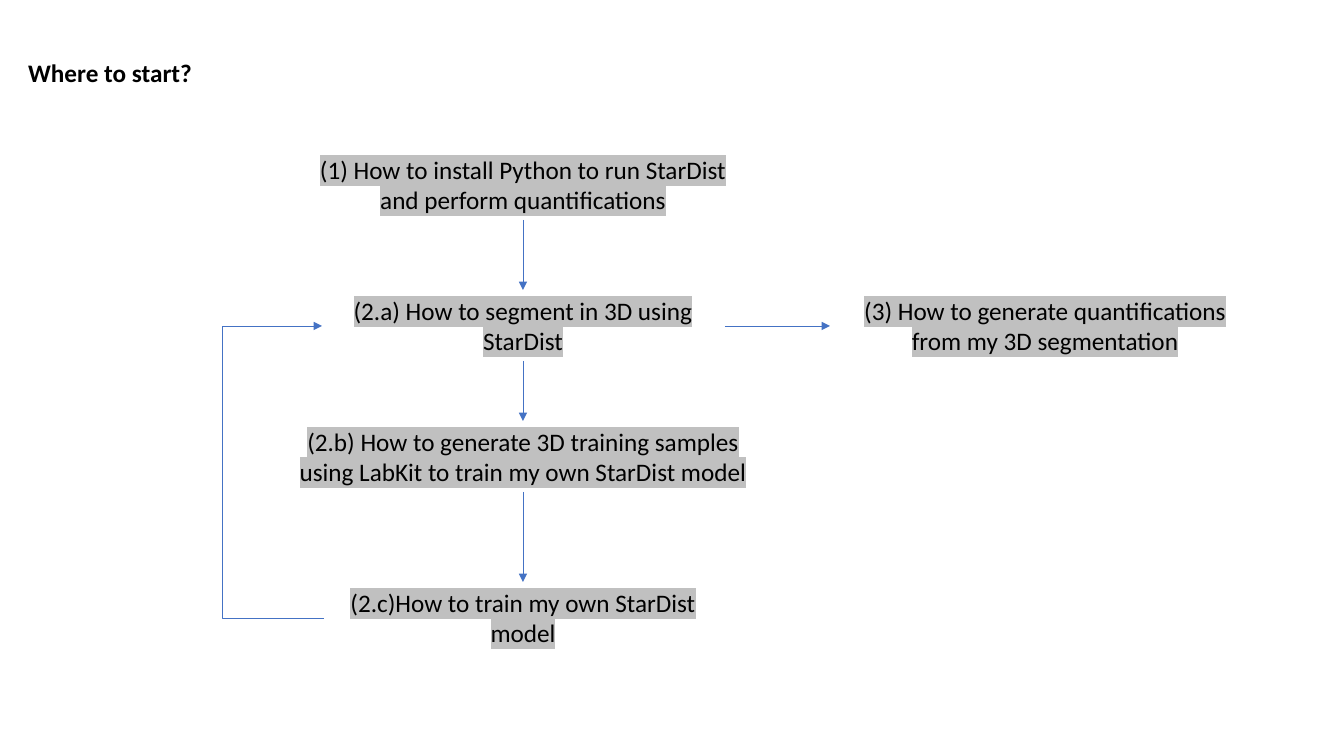
from dataclasses import dataclass

from pptx import Presentation, util as u
from pptx.dml.color import RGBColor
from pptx.enum import shapes, text
from pptx.oxml import ns
from lxml import etree


@dataclass(frozen=True)
class Theme:
    """Colours and type sizes of the slide."""
    ink: str = "000000"
    mark: str = "C0C0C0"
    line: str = "4472C4"
    font: str = "Calibri"
    size: float = 18
    weight: float = 0.5


def px(n):
    """Turn pixels into EMU."""
    return u.Emu(round(n * 914400 / 100.8))


def add(node, tag, **attrs):
    """Append a drawing element to a node."""
    return etree.SubElement(node, ns.qn(tag), attrs)


def write(frame, words, theme, bold=False, align=text.PP_ALIGN.LEFT, mark=None):
    """Put formatted words in a text frame."""
    frame.word_wrap = True
    frame.vertical_anchor = text.MSO_ANCHOR.TOP
    frame.auto_size = text.MSO_AUTO_SIZE.SHAPE_TO_FIT_TEXT
    para = frame.paragraphs[0]
    para.alignment = align
    para.line_spacing = 1.0
    para.space_before = u.Pt(0)
    run = para.add_run()
    run.text = words
    font = run.font
    font.name, font.size, font.bold = theme.font, u.Pt(theme.size), bold
    font.color.rgb = RGBColor.from_string(theme.ink)
    if mark:
        glow = etree.Element(ns.qn("a:highlight"))
        add(glow, "a:srgbClr", val=mark)
        run._r.rPr.find(ns.qn("a:solidFill")).addnext(glow)


class Board:
    """Holds the theme and the current slide."""

    def __init__(self, deck, theme):
        """Add a title-only slide."""
        self.theme = theme
        self.slide = deck.slides.add_slide(deck.slide_layouts[5])

    def title(self, words, x, y, w, h):
        """Place the title."""
        shape = self.slide.shapes.title
        shape.left, shape.top, shape.width, shape.height = map(px, (x, y, w, h))
        write(shape.text_frame, words, self.theme, bold=True)

    def step(self, words, mid, y, w, h):
        """Add a highlighted step centred on mid."""
        box = self.slide.shapes.add_textbox(*map(px, (mid - w / 2, y, w, h)))
        write(box.text_frame, words, self.theme,
              align=text.PP_ALIGN.CENTER, mark=self.theme.mark)

    def arrow(self, x1, y1, x2, y2, bend=None):
        """Add an arrow, straight or bent through the column at bend."""
        kind = shapes.MSO_CONNECTOR
        kind = kind.STRAIGHT if bend is None else kind.ELBOW
        link = self.slide.shapes.add_connector(kind, *map(px, (x1, y1, x2, y2)))
        link.line.color.rgb = RGBColor.from_string(self.theme.line)
        link.line.width = u.Pt(self.theme.weight)
        add(link.line._get_or_add_ln(), "a:tailEnd", type="triangle")
        props = link._element.spPr
        add(props, "a:effectLst")
        if bend is not None:
            ratio = round((bend - x1) / (x2 - x1) * 100000)
            guides = props.find(ns.qn("a:prstGeom")).get_or_add_avLst()
            add(guides, "a:gd", name="adj1", fmla=f"val {ratio}")


def main():
    """Build the flow chart."""
    deck = Presentation()
    deck.slide_width, deck.slide_height = px(1344), px(756)
    board = Board(deck, Theme())
    board.title("Where to start?", 18, 52, 861, 71)

    mid, tall = 523, 71
    steps = [
        ("(1) How to install Python to run StarDist and perform quantifications", 149, 430),
        ("(2.a) How to segment in 3D using StarDist", 290, 402),
        ("(2.b) How to generate 3D training samples using LabKit "
         "to train my own StarDist model", 421, 470),
        ("(2.c)How to train my own StarDist model", 582, 402),
    ]
    for words, top, wide in steps:
        board.step(words, mid, top, wide, tall)
    tops = [top for _, top, _ in steps]
    for top, below in zip(tops, tops[1:]):
        board.arrow(mid, top + tall, mid, below)

    board.step("(3) How to generate quantifications from my 3D segmentation",
               1045, tops[1], 430, tall)
    row = tops[1] + 36
    board.arrow(725, row, 830, row)
    board.arrow(324, tops[3] + 36, 322, row, bend=222)
    deck.save("out.pptx")


main()
